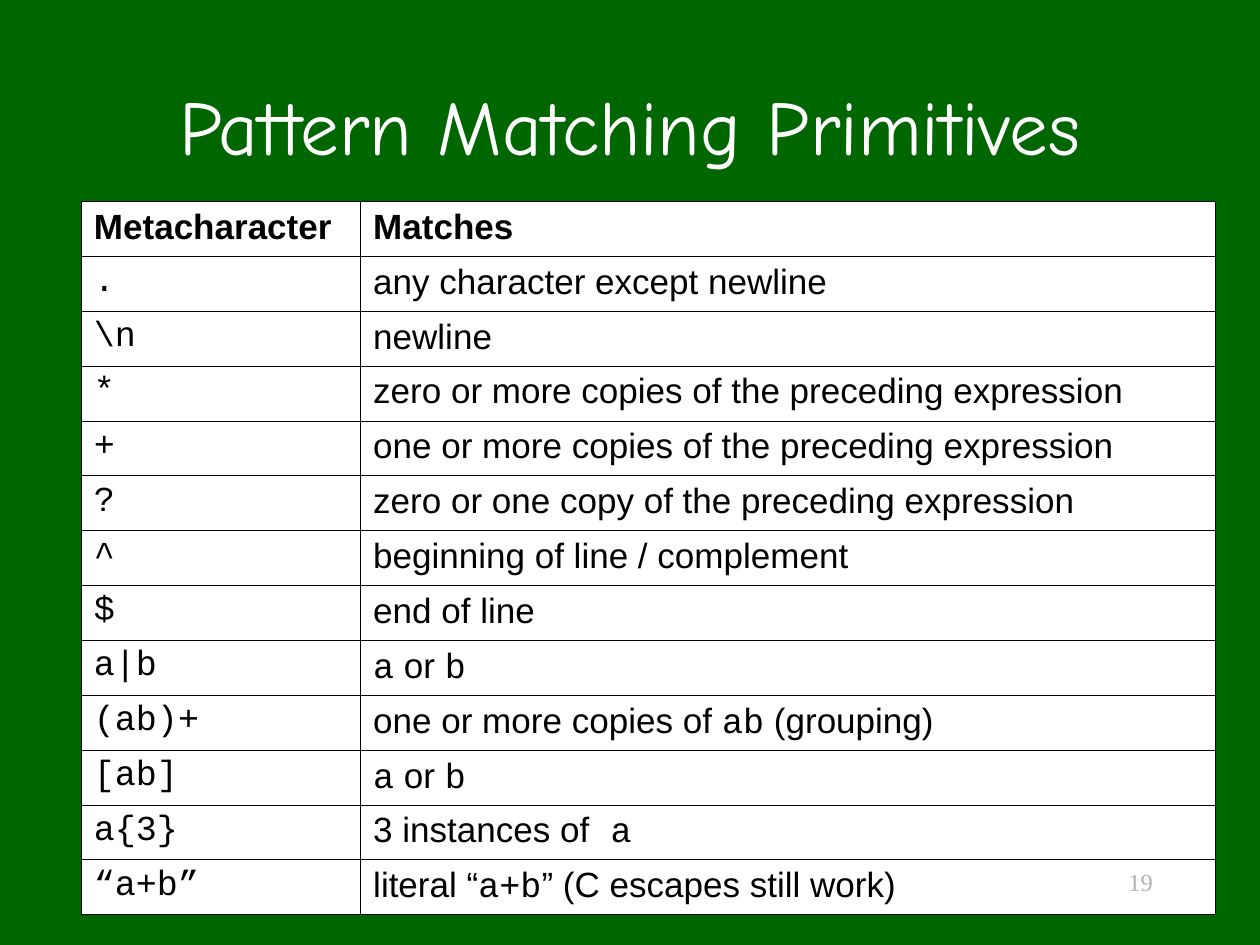
import pptx
import pptx.dml.color
import pptx.enum.text
import pptx.oxml.ns
import pptx.util
from lxml import etree

Cm, Pt = pptx.util.Cm, pptx.util.Pt
RGBColor = pptx.dml.color.RGBColor
PP_ALIGN = pptx.enum.text.PP_ALIGN
MSO_ANCHOR = pptx.enum.text.MSO_ANCHOR
qn = pptx.oxml.ns.qn

GREEN = RGBColor(0x00, 0x66, 0x00)
WHITE = RGBColor(0xFF, 0xFF, 0xFF)
BLACK = RGBColor(0x00, 0x00, 0x00)
GREY = RGBColor(0xB2, 0xB2, 0xB2)

BODY, CODE = "Arial", "Courier New"
THIN, THICK = Pt(0.45), Pt(1.08)
METACHARACTER_WIDTH = 5.63

PRIMITIVES = [
    (".", "any character except newline"),
    ("\\n", "newline"),
    ("*", "zero or more copies of the preceding expression"),
    ("+", "one or more copies of the preceding expression"),
    ("?", "zero or one copy of the preceding expression"),
    ("^", "beginning of line / complement"),
    ("$", "end of line"),
    ("a|b", "`a` or `b`"),
    ("(ab)+", "one or more copies of `ab` (grouping)"),
    ("[ab]", "`a` or `b`"),
    ("a{3}", "3 instances of` a`"),
    ("“a+b”", "literal “`a+b`” (C escapes still work)"),
]


def style_run(r, font, size, color, bold=False):
    """Set the font, size, colour and weight of a run."""
    r.font.name = font
    r.font.size = Pt(size)
    r.font.color.rgb = color
    r.font.bold = bold


def add_label(s, box, text, font, size, color, align, anchor):
    """Place one line of text in the given box."""
    sp = s.shapes.add_textbox(*(Cm(v) for v in box))
    tf = sp.text_frame
    tf.word_wrap = True
    tf.vertical_anchor = anchor
    tf.text = text
    p = tf.paragraphs[0]
    p.alignment = align
    style_run(p.runs[0], font, size, color)


def set_border(cell, side, width):
    """Draw a black line along one side (L, R, T or B) of a cell."""
    tcPr = cell._tc.get_or_add_tcPr()
    ln = etree.SubElement(tcPr, qn("a:ln" + side), w=str(int(width)))
    fill = etree.SubElement(ln, qn("a:solidFill"))
    etree.SubElement(fill, qn("a:srgbClr"), val=str(BLACK))


def fill_cell(cell, text, bold):
    """Write text into a cell, setting the parts between backticks as code."""
    cell.fill.solid()
    cell.fill.fore_color.rgb = WHITE
    p = cell.text_frame.paragraphs[0]
    p.space_before = Pt(5)
    for i, part in enumerate(text.split("`")):
        if part:
            r = p.add_run()
            r.text = part
            style_run(r, CODE if i % 2 else BODY, 20, BLACK, bold)


def add_primitives_table(s, box):
    """Place the table of metacharacters in the given box."""
    rows = [("Metacharacter", "Matches")]
    rows += [(f"`{code}`", meaning) for code, meaning in PRIMITIVES]
    last = len(rows) - 1
    table = s.shapes.add_table(len(rows), 2, *(Cm(v) for v in box)).table
    table.first_row = table.horz_banding = False
    table.columns[0].width = Cm(METACHARACTER_WIDTH)
    table.columns[1].width = Cm(box[2] - METACHARACTER_WIDTH)
    for i, row in enumerate(rows):
        for j, text in enumerate(row):
            cell = table.cell(i, j)
            outer = {"L": j == 0, "R": j == 1, "T": i == 0, "B": i == last}
            for side, is_outer in outer.items():
                set_border(cell, side, THICK if is_outer else THIN)
            fill_cell(cell, text, bold=i == 0)


def main():
    """Build the slide and save it."""
    prs = pptx.Presentation()
    prs.slide_width, prs.slide_height = Cm(25.4), Cm(19.05)
    s = prs.slides.add_slide(prs.slide_layouts[6])
    s.background.fill.solid()
    s.background.fill.fore_color.rgb = GREEN
    add_label(s, (1.9, 0.92, 21.6, 3.18), "Pattern Matching Primitives",
              "Comic Neue", 44, WHITE, PP_ALIGN.CENTER, MSO_ANCHOR.MIDDLE)
    add_primitives_table(s, (1.64, 4.06, 22.86, 14.39))
    add_label(s, (18.2, 17.35, 5.29, 1.27), "19",
              "Times New Roman", 14, GREY, PP_ALIGN.RIGHT, MSO_ANCHOR.TOP)
    prs.save("out.pptx")


if __name__ == "__main__":
    main()
